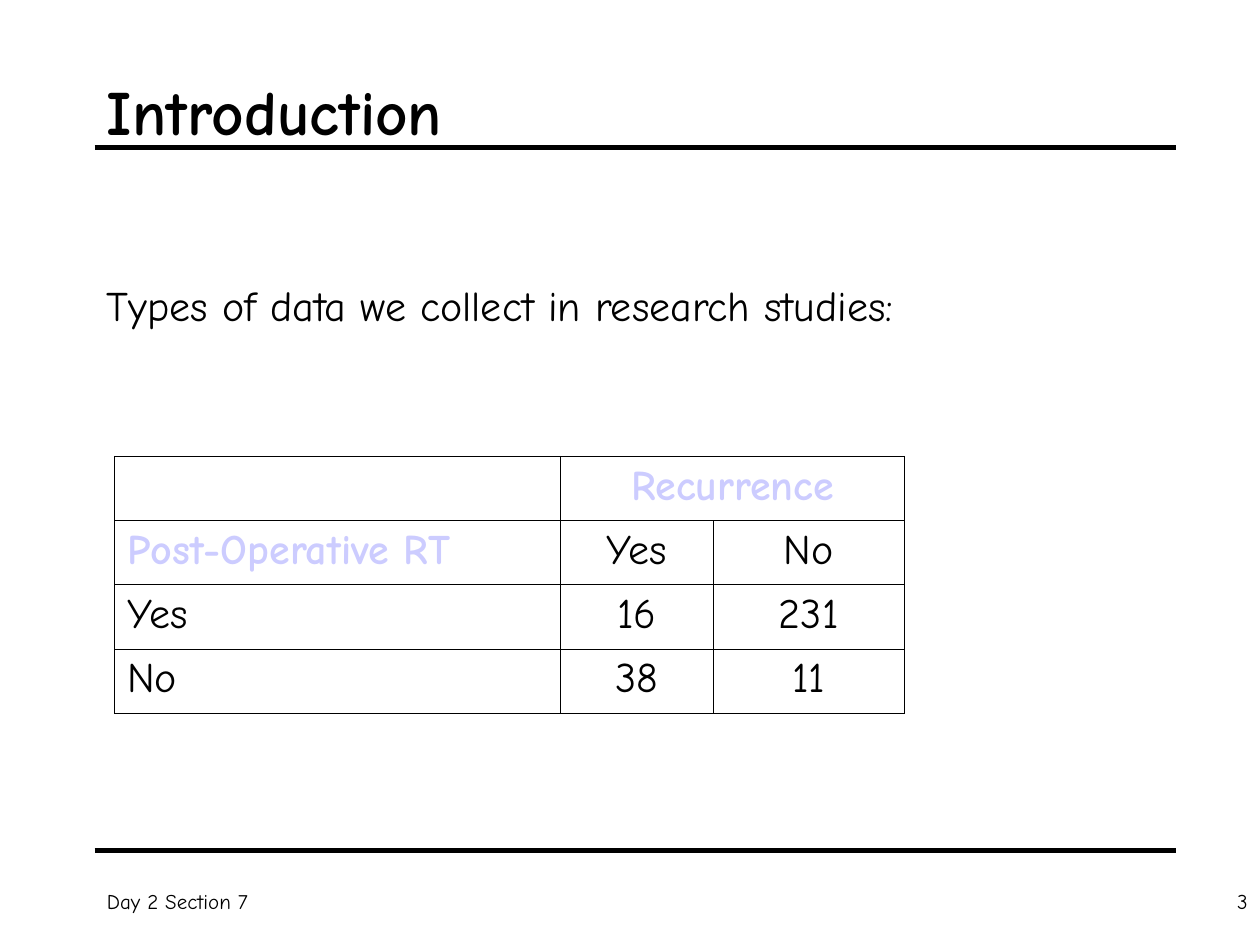
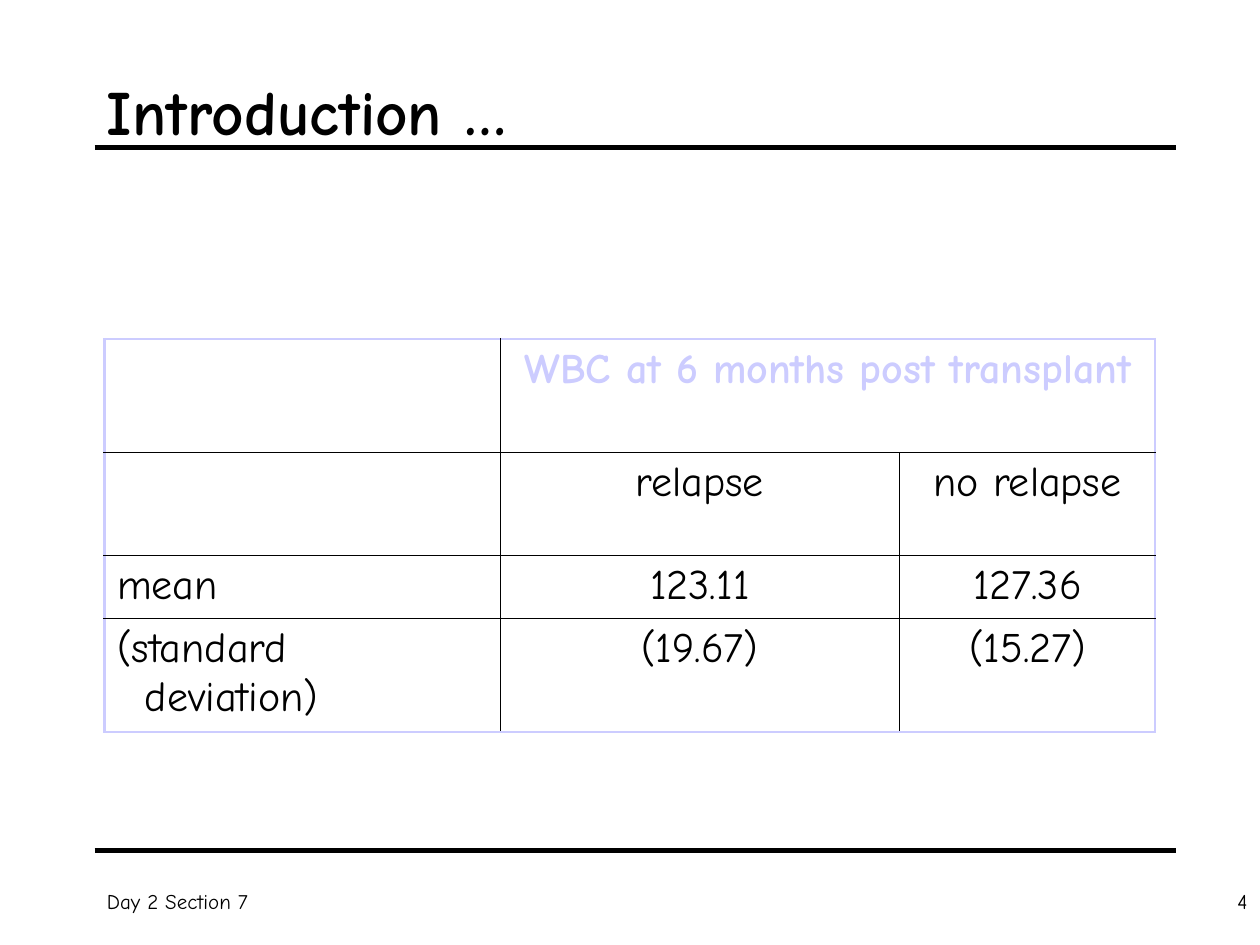
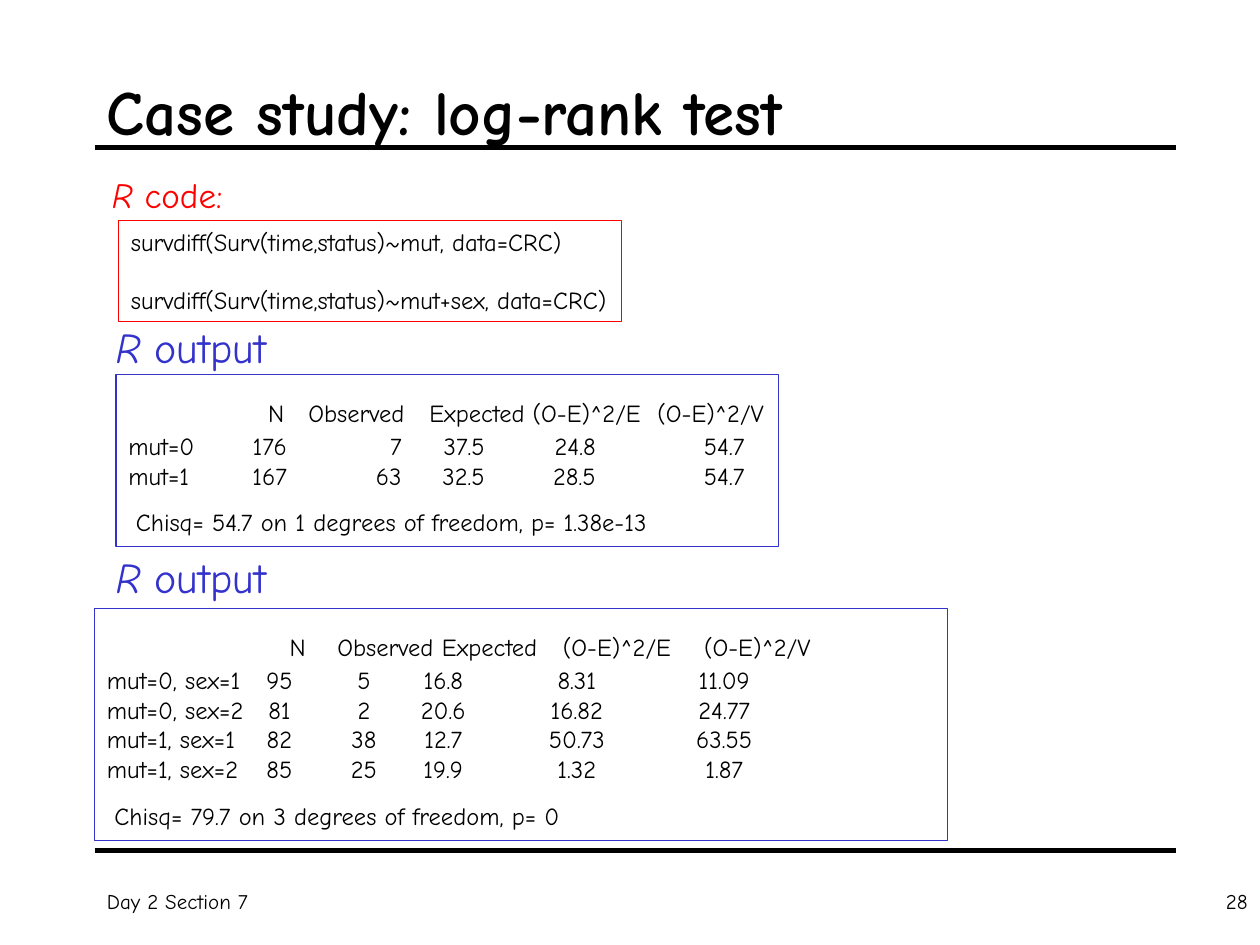
from lxml import etree
from pptx import Presentation
from pptx.dml.color import RGBColor
from pptx.enum.shapes import MSO_CONNECTOR, MSO_SHAPE
from pptx.enum.text import MSO_ANCHOR, PP_ALIGN
from pptx.oxml.ns import qn
from pptx.util import Inches, Pt

RECT, STRAIGHT = MSO_SHAPE.RECTANGLE, MSO_CONNECTOR.STRAIGHT
TOP, MIDDLE = MSO_ANCHOR.TOP, MSO_ANCHOR.MIDDLE
LEFT, CENTER, RIGHT = PP_ALIGN.LEFT, PP_ALIGN.CENTER, PP_ALIGN.RIGHT

BLACK = RGBColor(0x00, 0x00, 0x00)
RED = RGBColor(0xFF, 0x00, 0x00)
BLUE = RGBColor(0x33, 0x33, 0xCC)
LILAC = RGBColor(0xCC, 0xCC, 0xFF)

FONT = "Comic Neue"
FOOTER = "Day 2 Section 7"
THIN, THICK = (BLACK, 0.45), (LILAC, 1.47)
HEAD = ["N", "Observed", "Expected", "(O-E)^2/E", "(O-E)^2/V"]


def style(font, size, color=BLACK, **more):
    font.color.rgb = color
    look = {"name": FONT, "size": Pt(size), "bold": False, **more}
    for key, value in look.items():
        setattr(font, key, value)


def add_run(para, text, size, color=BLACK, **more):
    run = para.add_run()
    run.text = text
    style(run.font, size, color, **more)


def indent(para, left):
    para._p.get_or_add_pPr().set("marL", str(Inches(left)))


def set_tabs(para, stops, kind):
    tabs = etree.SubElement(para._p.get_or_add_pPr(), qn("a:tabLst"))
    for stop in stops:
        etree.SubElement(tabs, qn("a:tab"), pos=str(Inches(stop)), algn=kind)


def text_frame(slide, box, edge=None, anchor=TOP, top=0.05, right=0.0):
    """Add a text box, or a framed rectangle when an edge colour is given."""
    place = [Inches(v) for v in box]
    if edge is None:
        shape = slide.shapes.add_textbox(*place)
    else:
        shape = slide.shapes.add_shape(RECT, *place)
        shape.shadow.inherit = False
        shape.fill.background()
        shape.line.color.rgb = edge
        shape.line.width = Pt(0.75)
    frame = shape.text_frame
    look = {"word_wrap": True, "vertical_anchor": anchor,
            "margin_top": Inches(top), "margin_right": Inches(right)}
    for key, value in look.items():
        setattr(frame, key, value)
    frame.paragraphs[0].alignment = LEFT
    return frame


def next_para(frame, gap=0):
    para = frame.add_paragraph()
    para.alignment = LEFT
    para.space_before = Pt(gap)
    return para


def label(slide, box, text, size, align=LEFT, anchor=TOP, right=0.0, **more):
    para = text_frame(slide, box, anchor=anchor, right=right).paragraphs[0]
    para.alignment = align
    add_run(para, text, size, **more)


def rule(slide, y):
    line = slide.shapes.add_connector(
        STRAIGHT, Inches(0.75), Inches(y), Inches(9.33), Inches(y))
    line.line.color.rgb = BLACK
    line.line.width = Pt(2.5)
    etree.SubElement(line._element.spPr, qn("a:effectLst"))


def base(deck, title, page):
    """Start a slide with its title, rules and footer."""
    slide = deck.slides.add_slide(deck.slide_layouts[6])
    for y in (6.75, 1.17):
        rule(slide, y)
    label(slide, (7.92, 7, 2.08, 0.5), str(page), 12, RIGHT, right=0.1)
    label(slide, (0.75, 7, 2.25, 0.5), FOOTER, 12)
    label(slide, (0.75, 0.25, 8.5, 1.25), title, 36, anchor=MIDDLE, bold=True)
    return slide


def border(cell, side, color, width):
    line = etree.SubElement(cell._tc.get_or_add_tcPr(), qn("a:ln" + side),
                            w=str(Pt(width)))
    fill = etree.SubElement(line, qn("a:solidFill"))
    etree.SubElement(fill, qn("a:srgbClr"), val=str(color))


def grid(slide, spot, cols, rows, data, heads, frame):
    """Table whose top right heading spans two columns."""
    size = sum(cols), sum(rows)
    table = slide.shapes.add_table(
        len(rows), len(cols), *[Inches(v) for v in (*spot, *size)]).table
    table.first_row = table.horz_banding = False
    for col, width in zip(table.columns, cols):
        col.width = Inches(width)
    for row, height in zip(table.rows, rows):
        row.height = Inches(height)
    table.cell(0, 1).merge(table.cell(0, 2))

    for r, line in enumerate(data):
        for c, text in enumerate(line):
            cell = table.cell(r, c)
            last = c + (cell.span_width if cell.is_merge_origin else 1)
            outer = {"L": c == 0, "R": last == len(cols),
                     "T": r == 0, "B": r == len(rows) - 1}
            for side, edge in outer.items():
                if not (side == "L" and cell.is_spanned):
                    border(cell, side, *(frame if edge else THIN))
            cell.fill.background()
            if not text:
                continue
            head = text in heads
            for i, part in enumerate(text.split("\n")):
                body = cell.text_frame
                para = body.add_paragraph() if i else body.paragraphs[0]
                para.alignment = CENTER if c else LEFT
                if i:
                    indent(para, 0.22)
                add_run(para, part, 24, LILAC if head else BLACK, bold=head)


def heading(slide, box, text, size, color):
    para = text_frame(slide, box).paragraphs[0]
    add_run(para, "R", size, color, italic=True)
    add_run(para, text, size, color)


def code(slide, box, lines):
    frame = text_frame(slide, box, RED)
    for i, line in enumerate(lines):
        para = next_para(frame, 16.8) if i else frame.paragraphs[0]
        add_run(para, line, 14)


def output(slide, box, stops, kind, spots, rows, test):
    """Framed test result: header, rows set on tab stops, closing line."""
    frame = text_frame(slide, box, BLUE, top=0.19)
    para = frame.paragraphs[0]
    set_tabs(para, stops, "l")
    add_run(para, "\t".join(["", *HEAD]), 14)
    for i, row in enumerate(rows):
        para = next_para(frame, 0 if i else 2)
        set_tabs(para, spots, kind)
        add_run(para, "\t".join(row), 14)
    para = next_para(frame, 10)
    indent(para, 0.06)
    add_run(para, test, 14)


def counts(deck):
    slide = base(deck, "Introduction", 3)
    label(slide, (0.75, 2.17, 8.35, 1.31),
          "Types of data we collect in research studies:", 24)
    data = [["", "Recurrence", ""],
            ["Post-Operative RT", "Yes", "No"],
            ["Yes", "16", "231"],
            ["No", "38", "11"]]
    grid(slide, (0.91, 3.62), (3.54, 1.21, 1.52), [0.51] * 4, data,
         ("Recurrence", "Post-Operative RT"), THIN)


def means(deck):
    slide = base(deck, "Introduction …", 4)
    title = "WBC at 6 months post transplant"
    data = [["", title, ""],
            ["", "relapse", "no relapse"],
            ["mean", "123.11", "127.36"],
            ["(standard\ndeviation)", "(19.67)", "(15.27)"]]
    grid(slide, (0.83, 2.69), (3.14, 3.17, 2.03), (0.9, 0.82, 0.5, 0.9),
         data, (title,), THICK)


def log_rank(deck):
    slide = base(deck, "Case study: log-rank test", 28)
    heading(slide, (0.79, 1.33, 1.08, 0.44), " code:", 20, RED)
    code(slide, (0.94, 1.75, 3.99, 0.8),
         ["survdiff(Surv(time,status)~mut, data=CRC)",
          "survdiff(Surv(time,status)~mut+sex, data=CRC)"])
    for y in (2.5, 4.33):
        heading(slide, (0.82, y, 1.39, 0.5), " output", 24, BLUE)
    output(slide, (0.92, 2.97, 5.26, 1.37),
           (1.11, 1.43, 2.39, 3.21, 4.2), "r", (1.26, 2.17, 2.83, 3.71, 4.89),
           [["mut=0", "176", "7", "37.5", "24.8", "54.7"],
            ["mut=1", "167", "63", "32.5", "28.5", "54.7"]],
           "Chisq= 54.7 on 1 degrees of freedom, p= 1.38e-13")
    output(slide, (0.75, 4.83, 6.77, 1.84),
           (1.45, 1.83, 2.66, 3.62, 4.74), "ctr", (1.37, 2.04, 2.67, 3.73, 4.9),
           [["mut=0, sex=1", "95", "5", "16.8", "8.31", "11.09"],
            ["mut=0, sex=2", "81", "2", "20.6", "16.82", "24.77"],
            ["mut=1, sex=1", "82", "38", "12.7", "50.73", "63.55"],
            ["mut=1, sex=2", "85", "25", "19.9", "1.32", "1.87"]],
           "Chisq= 79.7 on 3 degrees of freedom, p= 0")


def main():
    deck = Presentation()
    deck.slide_width, deck.slide_height = Inches(10), Inches(7.5)
    for build in (counts, means, log_rank):
        build(deck)
    deck.save("out.pptx")


if __name__ == "__main__":
    main()
